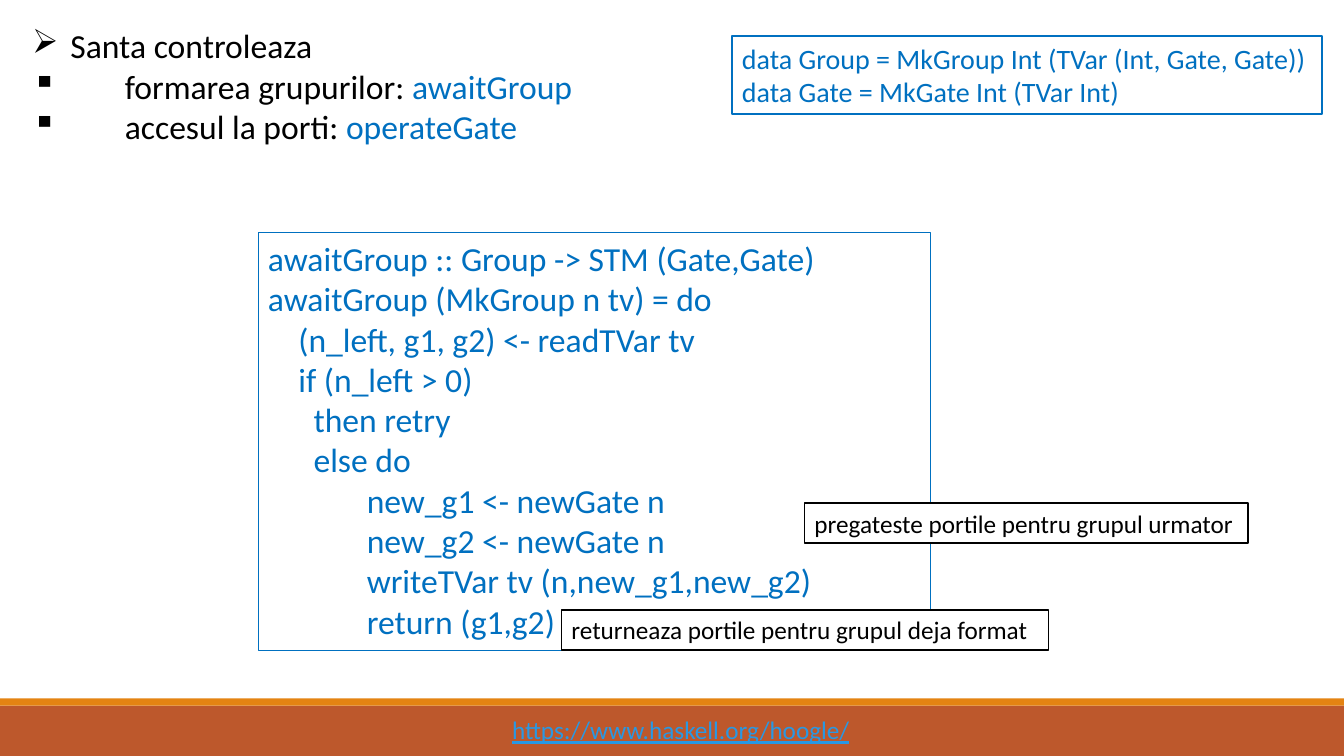
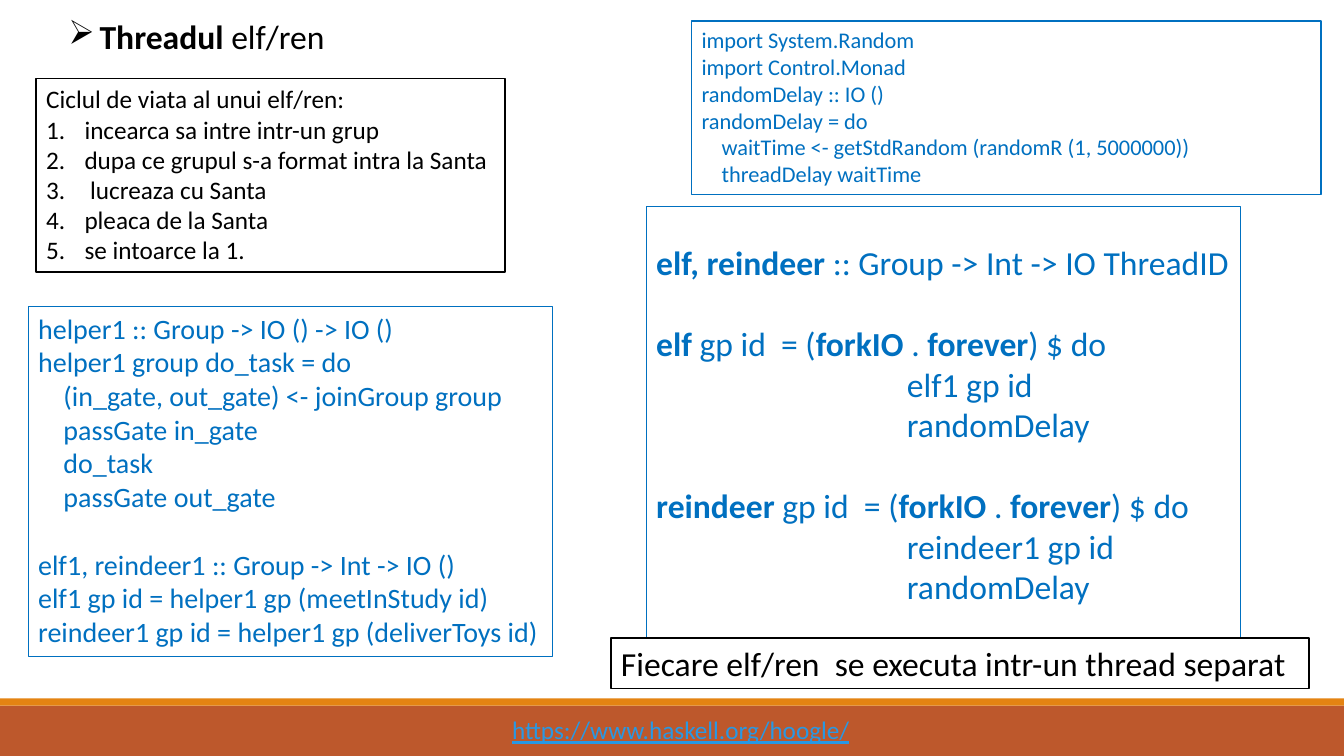
from dataclasses import dataclass
from typing import NamedTuple, Optional

from lxml.etree import SubElement
from pptx import Presentation
from pptx.dml.color import RGBColor
from pptx.enum.shapes import MSO_SHAPE
from pptx.enum.text import MSO_ANCHOR, MSO_AUTO_SIZE
from pptx.oxml.ns import qn
from pptx.util import Inches, Pt

BLACK = RGBColor(0x00, 0x00, 0x00)
WHITE = RGBColor(0xFF, 0xFF, 0xFF)
BLUE = RGBColor(0x00, 0x70, 0xC0)
RUST = RGBColor(0xBD, 0x58, 0x2C)
AMBER = RGBColor(0xE4, 0x83, 0x12)
LINK = RGBColor(0x29, 0x98, 0xE3)

FONT = "Calibri"
LEADING = 1.22  # line height as a multiple of the text size
NUMBER = "1."


class Bullet(NamedTuple):
    sign: str
    hang: float


ARROW = Bullet("➢", 0.38)
SQUARE = Bullet("▪", 0.92)
SHORT = Bullet("➢", 0.31)
COUNT = Bullet(NUMBER, 0.38)


@dataclass
class Box:
    """A text box; asterisks in its text switch the mark format on and off."""
    left: float
    top: float
    width: float
    height: float
    text: str
    size: int
    color: RGBColor = BLACK
    line: float = 0
    fill: Optional[RGBColor] = None
    bullets: tuple = ()
    mark: Optional[dict] = None
    inset: float = 0.05


AWAIT = """\
awaitGroup :: Group -> STM (Gate,Gate)
awaitGroup (MkGroup n tv) = do
    (n_left, g1, g2) <- readTVar tv
    if (n_left > 0)
      then retry
      else do
             new_g1 <- newGate n
             new_g2 <- newGate n
             writeTVar tv (n,new_g1,new_g2)
             return (g1,g2)"""

TYPES = """\
data Group = MkGroup Int (TVar (Int, Gate, Gate))
data Gate = MkGate Int (TVar Int)"""

HELPER = """\
helper1 :: Group -> IO () -> IO ()
helper1 group do_task = do
    (in_gate, out_gate) <- joinGroup group
    passGate in_gate
    do_task
    passGate out_gate

elf1, reindeer1 :: Group -> Int -> IO ()
elf1 gp id = helper1 gp (meetInStudy id)
reindeer1 gp id = helper1 gp (deliverToys id)"""

THREADS = """\
*elf, reindeer *:: Group -> Int -> IO ThreadID

*elf *gp id  = (*forkIO* . *forever*) $ do
                                 elf1 gp id
                                 randomDelay

*reindeer *gp id  = (*forkIO* . *forever*) $ do
                                 reindeer1 gp id
                                 randomDelay"""

DELAY = """\
import System.Random
import Control.Monad
randomDelay :: IO ()
randomDelay = do
    waitTime <- getStdRandom (randomR (1, 5000000))
    threadDelay waitTime"""

CONTROL = """\
Santa controleaza
formarea grupurilor: *awaitGroup*
accesul la porti: *operateGate*"""

CYCLE = """\
Ciclul de viata al unui elf/ren:
incearca sa intre intr-un grup
dupa ce grupul s-a format intra la Santa
 lucreaza cu Santa
pleaca de la Santa
se intoarce la 1."""

BOLD = {"bold": True}
CODE = {"color": BLUE, "line": 0.75}
FRAME = {"color": BLUE, "line": 1.25, "fill": WHITE}
NOTE = {"line": 1.25, "fill": WHITE}

FOOTER = Box(4.98, 7.04, 3.59, 0.4, "*https://www.haskell.org/hoogle/*", 18,
             LINK, mark={"underline": True})

SLIDES = [
    [
        Box(0.22, 0.2, 5.67, 1.31, CONTROL, 24,
            bullets=(ARROW, SQUARE, SQUARE), mark={"color": BLUE}),
        Box(2.56, 2.31, 6.67, 4.14, AWAIT, 24, **CODE),
        Box(7.26, 0.36, 5.85, 0.77, TYPES, 20, **FRAME),
        Box(7.98, 4.99, 4.4, 0.4,
            "pregateste portile pentru grupul urmator", 18, **NOTE),
        Box(5.57, 6.05, 4.83, 0.4,
            "returneaza portile pentru grupul deja format", 18, **NOTE),
    ],
    [
        Box(0.28, 3.04, 5.2, 3.47, HELPER, 20, **CODE),
        Box(0.36, 0.78, 4.65, 1.92, CYCLE, 18,
            bullets=(None,) + (COUNT,) * 5, **NOTE),
        Box(6.41, 2.05, 5.89, 4.34, THREADS, 24, mark=BOLD, inset=0.35, **CODE),
        Box(6.86, 0.21, 6.24, 1.72, DELAY, 16, **FRAME),
        Box(0.58, 0.11, 3.3, 0.5, "*Threadul* elf/ren", 24,
            bullets=(SHORT,), mark=BOLD),
        Box(6.06, 6.33, 6.92, 0.5,
            "Fiecare elf/ren  se executa intr-un thread separat", 24, **NOTE),
    ],
]


def set_all(target, values: dict) -> None:
    for name, value in values.items():
        if name == "color":
            target.color.rgb = value
        else:
            setattr(target, name, value)


def add_bullet(para, bullet: Bullet) -> None:
    props = para._p.get_or_add_pPr()
    hang = Inches(bullet.hang)
    props.set("marL", str(hang))
    props.set("indent", str(-hang))
    if bullet.sign == NUMBER:
        SubElement(props, qn("a:buAutoNum"), type="arabicPeriod")
    else:
        SubElement(props, qn("a:buChar"), char=bullet.sign)


def write(frame, box: Box) -> None:
    """Write each line as a paragraph; an empty line becomes space before."""
    gap, count = 0, 0
    for line in box.text.splitlines():
        if not line:
            gap += box.size * LEADING
            continue
        para = frame.add_paragraph() if count else frame.paragraphs[0]
        if count < len(box.bullets) and box.bullets[count]:
            add_bullet(para, box.bullets[count])
        if gap:
            para.space_before = Pt(gap)
        gap, count = 0, count + 1
        for index, part in enumerate(line.split("*")):
            if part:
                run = para.add_run()
                run.text = part
                look = {"name": FONT, "size": Pt(box.size), "color": box.color}
                if index % 2:
                    look |= box.mark or {}
                set_all(run.font, look)


def add_box(slide, box: Box) -> None:
    place = map(Inches, (box.left, box.top, box.width, box.height))
    shape = slide.shapes.add_textbox(*place)
    if box.fill is not None:
        shape.fill.solid()
        shape.fill.fore_color.rgb = box.fill
    if box.line:
        set_all(shape.line, {"color": box.color, "width": Pt(box.line)})
    set_all(shape.text_frame, {
        "word_wrap": True,
        "auto_size": MSO_AUTO_SIZE.NONE,
        "vertical_anchor": MSO_ANCHOR.TOP,
        "margin_left": Inches(0.1),
        "margin_right": 0,
        "margin_top": Inches(box.inset),
        "margin_bottom": 0,
    })
    write(shape.text_frame, box)


def add_band(slide, top: float, height: float, color: RGBColor) -> None:
    band = slide.shapes.add_shape(MSO_SHAPE.RECTANGLE, 0, Inches(top),
                                  Inches(13.33), Inches(height))
    band.shadow.inherit = False
    band.fill.solid()
    band.fill.fore_color.rgb = color
    band.line.fill.background()


def main() -> None:
    deck = Presentation()
    set_all(deck, {"slide_width": Inches(13.33), "slide_height": Inches(7.5)})
    for boxes in SLIDES:
        slide = deck.slides.add_slide(deck.slide_layouts[6])
        add_band(slide, 7, 0.5, RUST)
        add_band(slide, 6.93, 0.07, AMBER)
        for box in [FOOTER, *boxes]:
            add_box(slide, box)
    deck.save("out.pptx")


if __name__ == "__main__":
    main()
